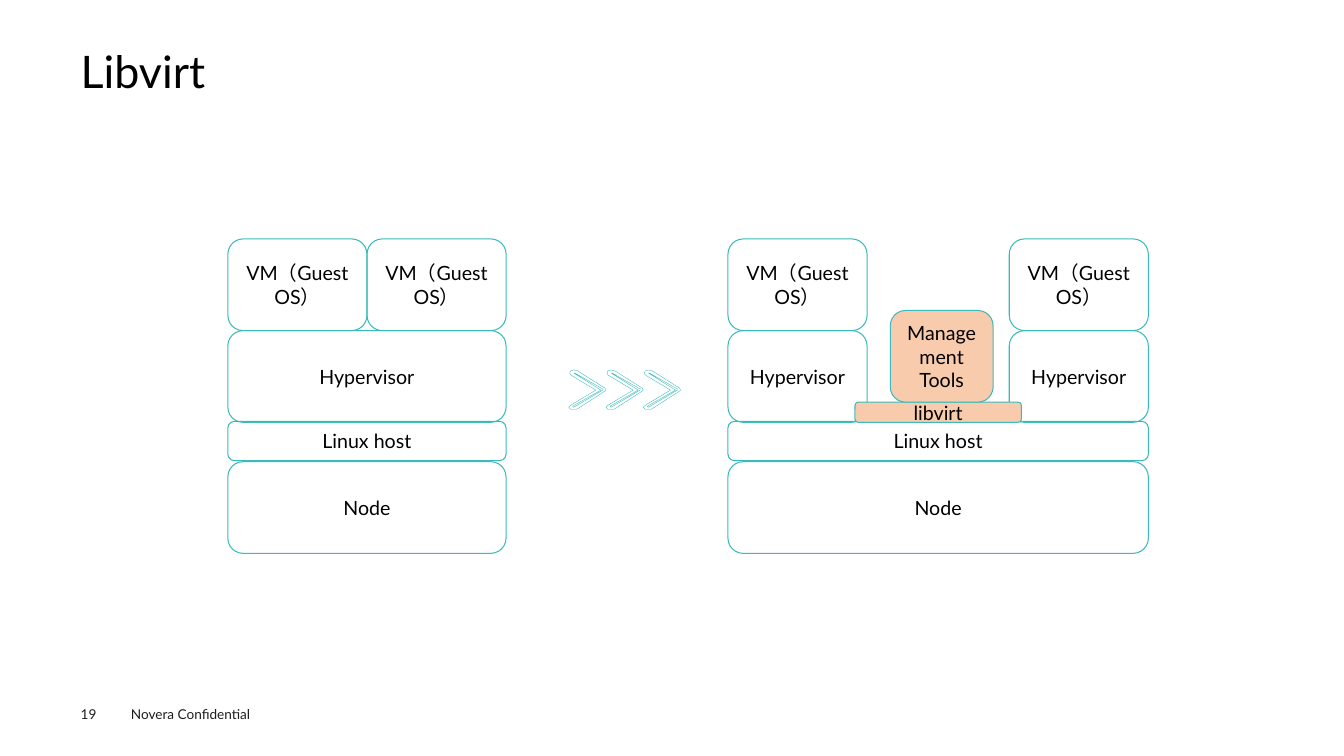
from pptx import Presentation
from pptx import util as u
from pptx.dml.color import RGBColor
from pptx.enum import shapes, text

COLORS = {"ink": "000000", "footer": "1D1D1B", "teal": "3ABABA", "peach": "F8CBAD"}
FONT = "Lato"

deck = Presentation()
deck.slide_width = u.Inches(13.33)
deck.slide_height = u.Inches(7.5)
slide = deck.slides.add_slide(deck.slide_layouts[6])


def write(frame, lines, size, color, **paragraph_format):
    frame.text = lines
    for paragraph in frame.paragraphs:
        for name, value in paragraph_format.items():
            setattr(paragraph, name, value)
        for name, value in {"name": FONT, "size": u.Pt(size)}.items():
            setattr(paragraph.font, name, value)
        paragraph.font.color.rgb = RGBColor.from_string(COLORS[color])


def outline(shape, width, fill=None):
    shape.shadow.inherit = False
    shape.line.color.rgb = RGBColor.from_string(COLORS["teal"])
    shape.line.width = u.Pt(width)
    if fill:
        shape.fill.solid()
        shape.fill.fore_color.rgb = RGBColor.from_string(COLORS[fill])
    else:
        shape.fill.background()


flush = {"margin_left": 0, "margin_right": 0, "margin_top": 0, "margin_bottom": 0}
labels = [
    ("Novera Confidential", (1.2, 6.95, 1.6, 0.27), 9.7, "footer", {}, {}),
    ("19", (0.8, 7, 0.55, 0.16), 9.7, "footer", flush, {}),
    ("Libvirt", (0.8, 0.49, 11.73, 0.54), 32, "ink", flush, {"line_spacing": 0.9}),
]
for words, place, size, color, margins, spacing in labels:
    label = slide.shapes.add_textbox(*map(u.Inches, place))
    frame_format = {"word_wrap": True, **margins}
    for name, value in frame_format.items():
        setattr(label.text_frame, name, value)
    write(label.text_frame, words, size, color, **spacing)

layers = {
    "VM（Guest OS）": (2.37, 0.91),
    "Hypervisor": (3.28, 0.91),
    "Linux host": (4.18, 0.39),
    "Node": (4.58, 0.91),
}
vm_width = 1.38
stacks = [
    (2.26, 2.76, 1.38, ["VM（Guest OS）"]),
    (7.22, 4.17, 2.79, ["VM（Guest OS）", "Hypervisor"]),
]
blocks = []
for left, width, vm_pitch, split_layers in stacks:
    for layer, (top, height) in layers.items():
        if layer in split_layers:
            for column in range(2):
                blocks.append((layer, left + column * vm_pitch, top, vm_width, height, None))
        else:
            blocks.append((layer, left, top, width, height, None))
blocks += [
    ("libvirt", 8.48, 3.99, 1.65, 0.2, "peach"),
    ("Management\nTools", 8.83, 3.08, 1.02, 0.91, "peach"),
]
for words, left, top, width, height, fill in blocks:
    block = slide.shapes.add_shape(
        shapes.MSO_SHAPE.ROUNDED_RECTANGLE, *map(u.Inches, (left, top, width, height)))
    outline(block, 0.75, fill)
    block.text_frame.word_wrap = True
    block.text_frame.vertical_anchor = text.MSO_ANCHOR.MIDDLE
    write(block.text_frame, words, 14, "ink", alignment=text.PP_ALIGN.CENTER)

chevron_pitch = 0.37
chevron_rims = [
    [(5.69, 3.67), (5.73, 3.68), (6, 3.85), (6.01, 3.87), (6, 3.88), (5.72, 4.06),
     (5.69, 4.06), (5.66, 4.06), (5.64, 4.04), (5.66, 4.02), (5.91, 3.87),
     (5.66, 3.72), (5.65, 3.7), (5.66, 3.68)],
    [(5.69, 3.7), (5.96, 3.87), (5.68, 4.03), (5.69, 4.04), (5.98, 3.87),
     (5.98, 3.86), (5.7, 3.7)],
]
contours = [
    [(u.Inches(x + step * chevron_pitch), u.Inches(y)) for x, y in rim]
    for step in range(3) for rim in chevron_rims
]
chevrons = slide.shapes.build_freeform(*contours[0][0])
chevrons.add_line_segments(contours[0][1:], close=True)
for contour in contours[1:]:
    chevrons.move_to(*contour[0])
    chevrons.add_line_segments(contour[1:], close=True)
outline(chevrons.convert_to_shape(), 0.25)

deck.save("out.pptx")
